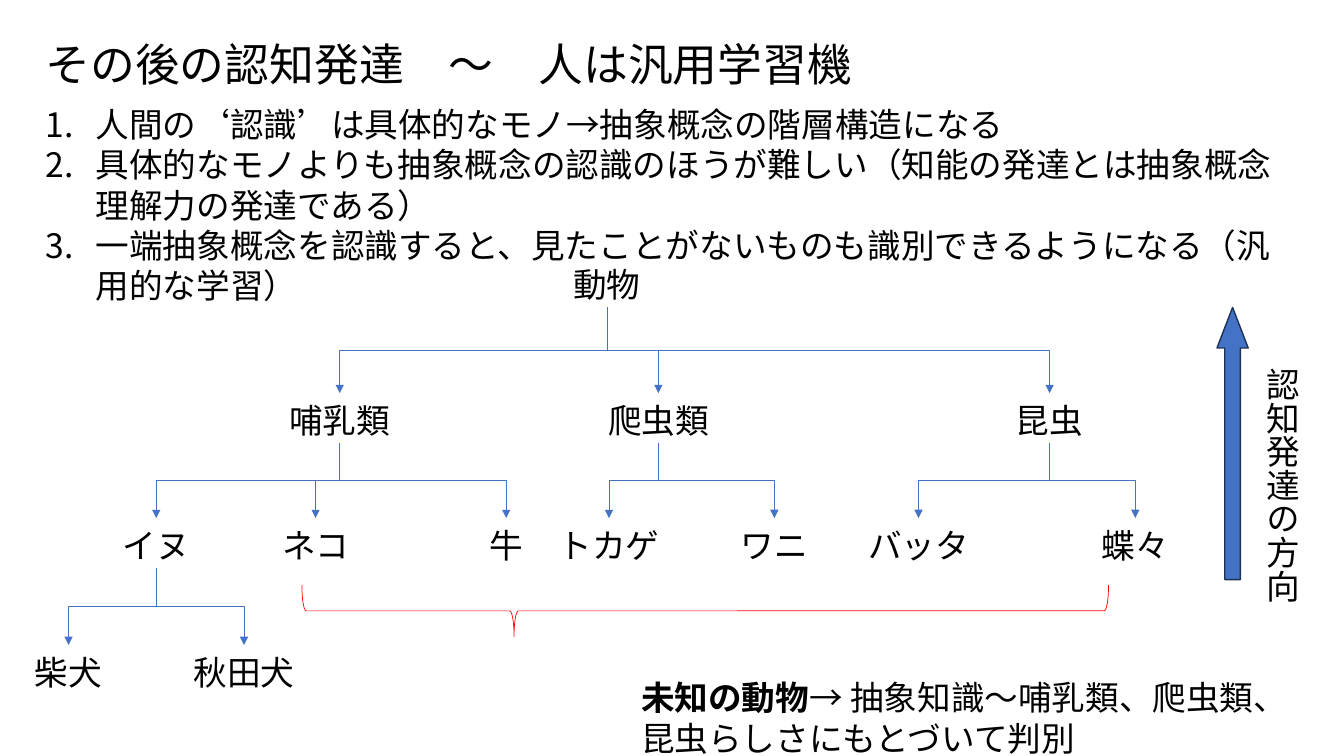
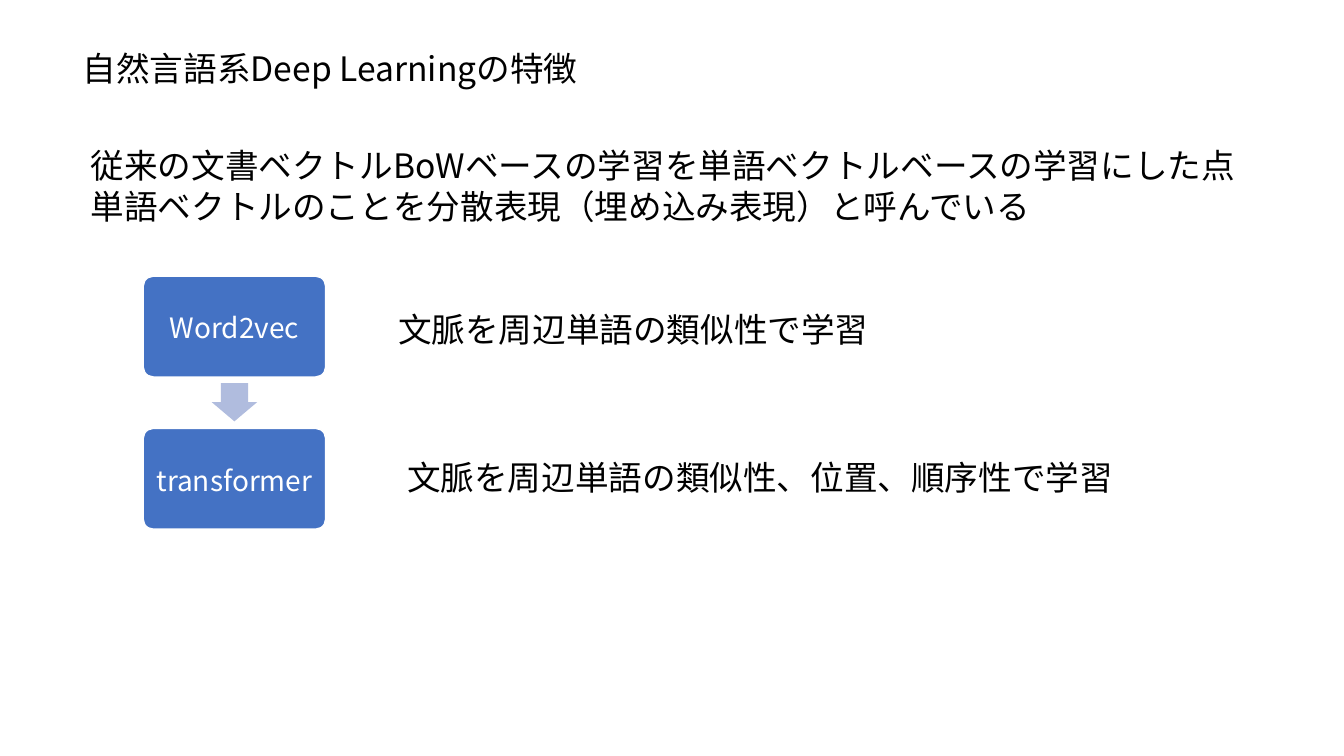
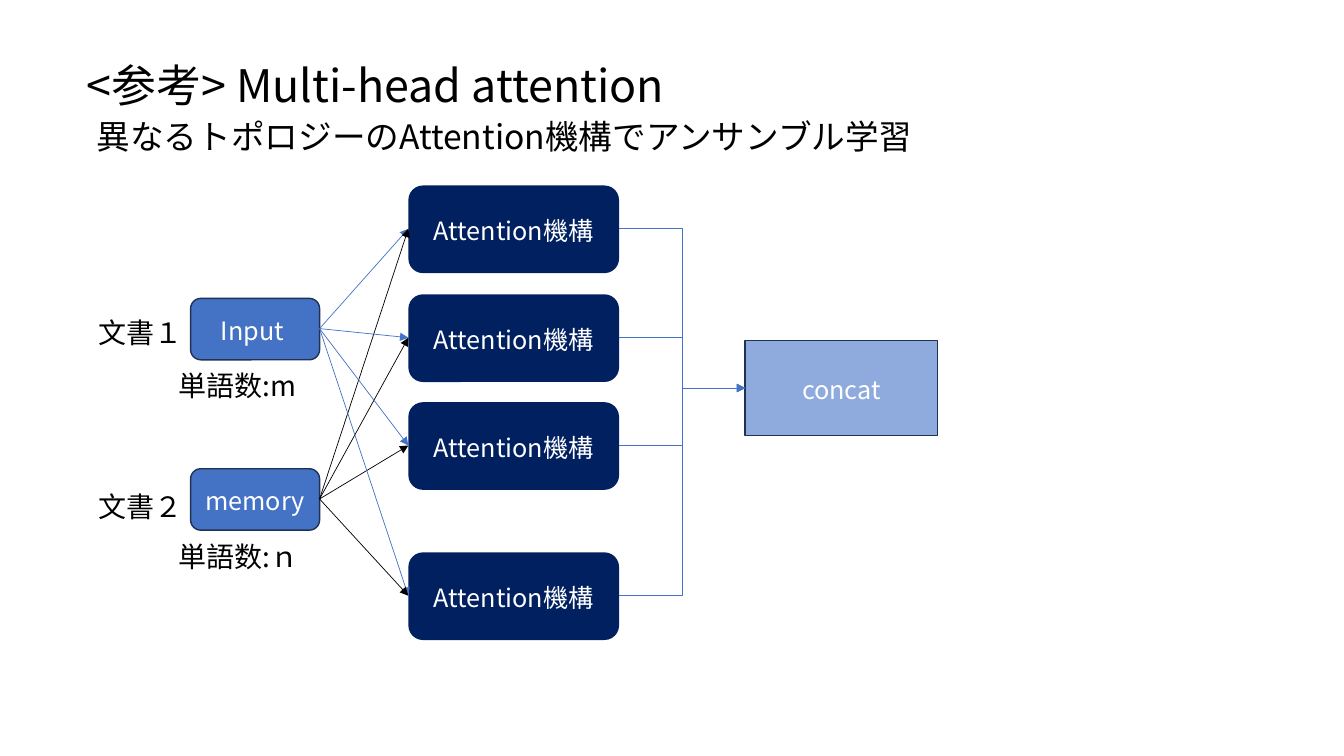
from lxml import etree
from pptx import Presentation, util as u
from pptx.dml.color import RGBColor
from pptx.enum import shapes, text
from pptx.oxml.ns import qn

FONT = "Noto Sans CJK JP"
INK = dict(black="000000", white="FFFFFF", blue="4472C4", edge="1E3256",
           navy="002060", pale="8FAADC", mist="B0BCDE", red="FF0000")
KIND = shapes.MSO_SHAPE
WIRE = shapes.MSO_CONNECTOR
LEFT, MID = text.PP_ALIGN.LEFT, text.PP_ALIGN.CENTER
TOP, HALF = text.MSO_ANCHOR.TOP, text.MSO_ANCHOR.MIDDLE


def rgb(name):
    """Return a palette colour."""
    return RGBColor.from_string(INK[name])


def inch(*vals):
    """Turn numbers into lengths."""
    return [u.Inches(v) for v in vals]


def style(obj, **vals):
    """Set each given attribute on an object."""
    for key, val in vals.items():
        setattr(obj, key, val)


def write(frame, paras, size=24, ink="black", align=LEFT, anchor=TOP,
          wrap=True, num=False, side=0.1):
    """Fill a text frame; a paragraph is a string or a list of (text, bold)."""
    style(frame, word_wrap=wrap, auto_size=text.MSO_AUTO_SIZE.NONE,
          vertical_anchor=anchor, margin_left=u.Inches(side),
          margin_right=u.Inches(side), margin_top=u.Inches(0.07),
          margin_bottom=u.Inches(0.05))
    for i, para in enumerate(paras):
        p = frame.add_paragraph() if i else frame.paragraphs[0]
        props = p._p.get_or_add_pPr()
        hang = u.Inches(0.5) if num else 0
        props.set("marL", str(hang))
        props.set("indent", str(-hang))
        mark = etree.SubElement(props, qn("a:buAutoNum" if num else "a:buNone"))
        if num:
            mark.set("type", "arabicPeriod")
        style(p, alignment=align, line_spacing=u.Pt(size * 1.2),
              space_before=u.Pt(0), space_after=u.Pt(0))
        for words, bold in [(para, False)] if isinstance(para, str) else para:
            run = p.add_run()
            run.text = words
            style(run.font, size=u.Pt(size), bold=bold, name=FONT)
            run.font.color.rgb = rgb(ink)
            east = etree.SubElement(run._r.get_or_add_rPr(), qn("a:ea"))
            east.set("typeface", FONT)


def label(page, box, words, **form):
    """Add a text box of one paragraph."""
    item = page.shapes.add_textbox(*inch(*box))
    write(item.text_frame, [words], **form)
    return item


def block(page, kind, box, fill=None, line=None, width=1, adj=(), words=None,
          **form):
    """Add a preset shape, with centred white words if any."""
    item = page.shapes.add_shape(kind, *inch(*box))
    item.shadow.inherit = False
    if fill:
        item.fill.solid()
        item.fill.fore_color.rgb = rgb(fill)
    else:
        item.fill.background()
    if line:
        item.line.color.rgb = rgb(line)
        item.line.width = u.Pt(width)
    else:
        item.line.fill.background()
    for i, val in enumerate(adj):
        item.adjustments[i] = val
    if words:
        write(item.text_frame, [words], ink="white", align=MID, anchor=HALF,
              **form)
    return item


def arrow(page, start, end, kind=WIRE.STRAIGHT, ink="blue"):
    """Add a thin connector with an arrowhead at its end."""
    item = page.shapes.add_connector(kind, *inch(*start, *end))
    item.line.color.rgb = rgb(ink)
    item.line.width = u.Pt(0.5)
    head = etree.SubElement(item.line._get_or_add_ln(), qn("a:tailEnd"))
    head.set("type", "triangle")
    etree.SubElement(item._element.spPr, qn("a:effectLst"))
    return item


def drop(page, start, end):
    """Add an elbow arrow that leaves and arrives vertically."""
    (x1, y1), (x2, y2) = start, end
    cx, cy = (x1 + x2) / 2, (y1 + y2) / 2
    right = x2 > x1
    dx, dy = abs(x2 - x1) / 2, (y2 - y1) / 2
    side = -dy if right else dy
    item = arrow(page, (cx - side, cy - dx), (cx + side, cy + dx), WIRE.ELBOW)
    item._element.spPr.xfrm.set("rot", str((270 if right else 90) * 60000))


def start(deck, title, tbox, size, paras, bbox, num=False):
    """Add a slide with its title and body placeholders filled."""
    page = deck.slides.add_slide(deck.slide_layouts[1])
    head, body = page.placeholders
    for item, box in ((head, tbox), (body, bbox)):
        for key, val in zip(("left", "top", "width", "height"), inch(*box)):
            setattr(item, key, val)
    write(head.text_frame, [title], size=size)
    write(body.text_frame, paras, num=num)
    return page


TREE = ("動物", 6.02, [
    ("哺乳類", 3.37, [
        ("イヌ", 1.55, [("柴犬", 0.68, []), ("秋田犬", 2.42, [])]),
        ("ネコ", 3.13, []), ("牛", 5.02, [])]),
    ("爬虫類", 6.53, [("トカゲ", 6.04, []), ("ワニ", 7.68, [])]),
    ("昆虫", 10.41, [("バッタ", 9.11, []), ("蝶々", 11.26, [])])])
ROWS = [2.55, 3.9, 5.14, 6.4]


def grow(page, node, row=0):
    """Draw a node of the tree and all below it."""
    name, x, kids = node
    wide = len(name) / 3 + 0.21
    label(page, (x - wide / 2, ROWS[row], wide, 0.5), name, align=MID,
          wrap=False)
    for kid in kids:
        drop(page, (x, ROWS[row] + 0.5), (kid[1], ROWS[row + 1]))
        grow(page, kid, row + 1)


def trend(page, x, y):
    """Draw the upward arrow and its vertical caption."""
    block(page, KIND.UP_ARROW, (x, y, 0.31, 2.7), "blue", "edge",
          adj=(0.5, 1.3))
    note = label(page, (x + 0.29, y + 0.53, 0.61, 2.46), "認知発達の方向",
                 wrap=False)
    note.text_frame._txBody.bodyPr.set("vert", "eaVert")


def learn(deck):
    """Build the slide on concept growth."""
    page = start(deck, "その後の認知発達　～　人は汎用学習機",
                 (0.35, 0.29, 9, 0.64), 32,
                 ["人間の‘認識’は具体的なモノ→抽象概念の階層構造になる",
                  "具体的なモノよりも抽象概念の認識のほうが難しい（知能の発達とは抽象概念理解力の発達である）",
                  "一端抽象概念を認識すると、見たことがないものも識別できるようになる（汎用的な学習）"],
                 (0.35, 0.96, 12.39, 2.12), num=True)
    grow(page, TREE)
    trend(page, 12.07, 3.05)
    brace = block(page, KIND.LEFT_BRACE, (6.74, 2.06, 0.51, 8), line="red",
                  width=0.5, adj=(0.083, 0.263))
    brace.rotation = 270
    label(page, (6.26, 6.65, 6.39, 0.91),
          [("未知の動物", True),
           ("→ 抽象知識～哺乳類、爬虫類、昆虫らしさにもとづいて判別", False)])


def steps(page, x, y, names):
    """Stack model boxes with a down arrow between each pair."""
    for i, name in enumerate(names):
        top = y + i * 1.51
        block(page, KIND.ROUNDED_RECTANGLE, (x, top, 1.81, 1), "blue", "white",
              adj=(0.1,), words=name, size=20, side=0.08)
        if i:
            block(page, KIND.DOWN_ARROW, (x + 0.68, top - 0.45, 0.45, 0.38),
                  "mist", adj=(0.6, 0.5))


def words(deck):
    """Build the slide on word vectors."""
    page = start(deck, "自然言語系Deep Learningの特徴",
                 (0.72, 0.41, 6, 0.5), 24,
                 ["従来の文書ベクトルBoWベースの学習を単語ベクトルベースの学習にした点",
                  "単語ベクトルのことを分散表現（埋め込み表現）と呼んでいる"],
                 (0.8, 1.37, 12, 0.91))
    steps(page, 1.42, 2.74, ["Word2vec", "transformer"])
    label(page, (3.85, 2.99, 5.2, 0.5), "文脈を周辺単語の類似性で学習")
    label(page, (3.94, 4.46, 7.6, 0.5), "文脈を周辺単語の類似性、位置、順序性で学習")


def source(page, x, y, name, doc, count, gap):
    """Draw an input box with its captions; return its exit point."""
    block(page, KIND.ROUNDED_RECTANGLE, (x, y, 1.28, 0.61), "blue", "edge",
          words=name, size=18)
    label(page, (x - 1.01, y + gap, 1.04, 0.44), doc, size=20, wrap=False)
    label(page, (x - 0.22, y + 0.63, 1.4, 0.44), count, size=20)
    return x + 1.28, y + 0.3


def heads(deck):
    """Build the slide on attention heads."""
    page = start(deck, "<参考> Multi-head attention",
                 (0.76, 0.5, 7, 0.64), 32,
                 ["異なるトポロジーのAttention機構でアンサンブル学習"],
                 (0.86, 1.08, 8.4, 0.9))
    feeds = [(source(page, 1.89, 2.96, "Input ", "文書１", "単語数:m", 0.1),
              "blue"),
             (source(page, 1.89, 4.65, "memory ", "文書２", "単語数:ｎ", 0.14),
              "black")]
    block(page, KIND.RECTANGLE, (7.39, 3.38, 1.91, 0.94), "pale", "edge",
          words="concat", size=18)
    for top in (1.84, 2.92, 3.99, 5.48):
        block(page, KIND.ROUNDED_RECTANGLE, (4.05, top, 2.09, 0.87), "navy",
              words="Attention機構", size=18)
        mid = top + 0.43
        for point, ink in feeds:
            arrow(page, point, (4.05, mid), ink=ink)
        arrow(page, (6.14, mid), (7.39, 3.85), WIRE.ELBOW)


def main():
    """Build and save the deck."""
    deck = Presentation()
    style(deck, slide_width=u.Inches(13.33), slide_height=u.Inches(7.5))
    for build in (learn, words, heads):
        build(deck)
    deck.save("out.pptx")


if __name__ == "__main__":
    main()
